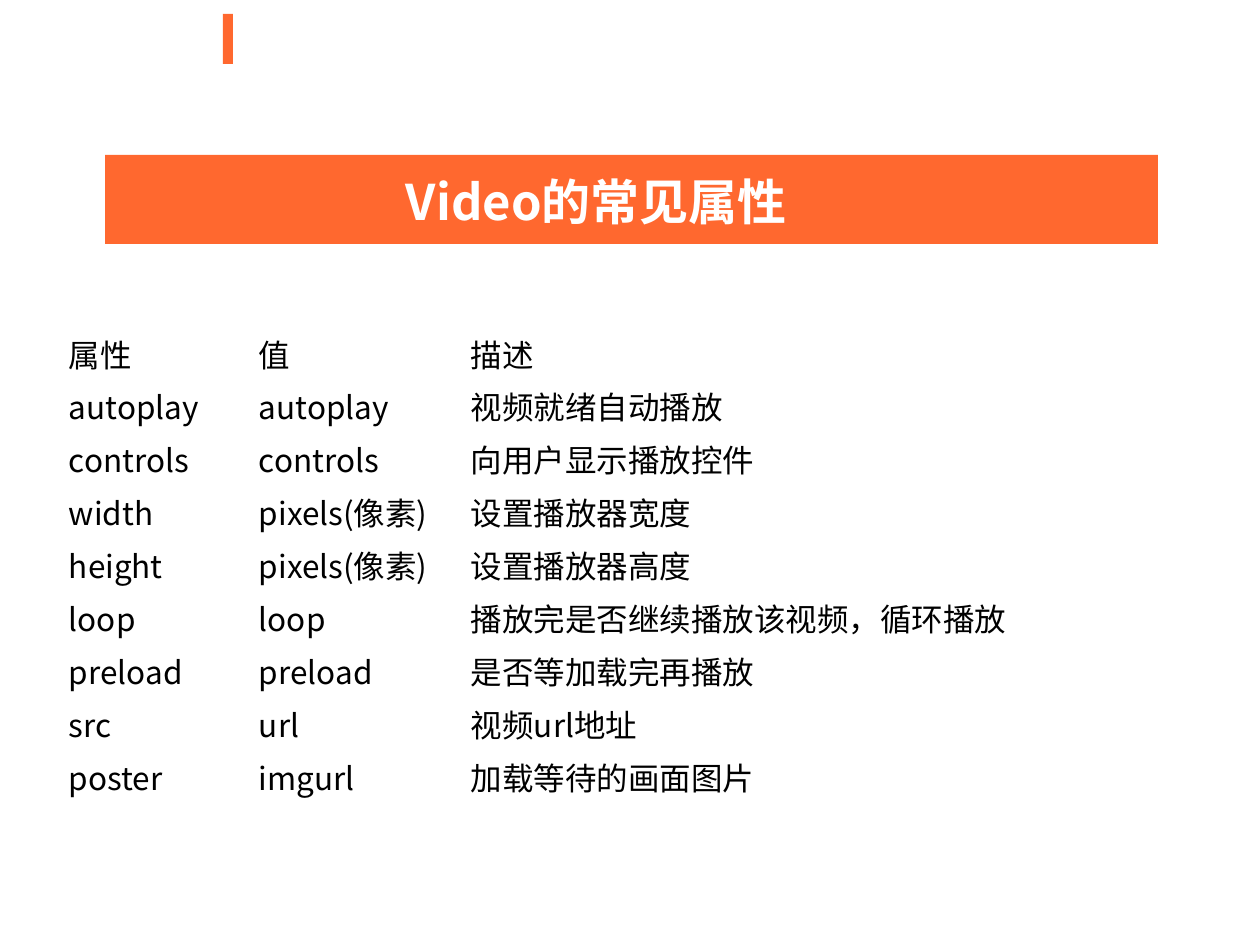
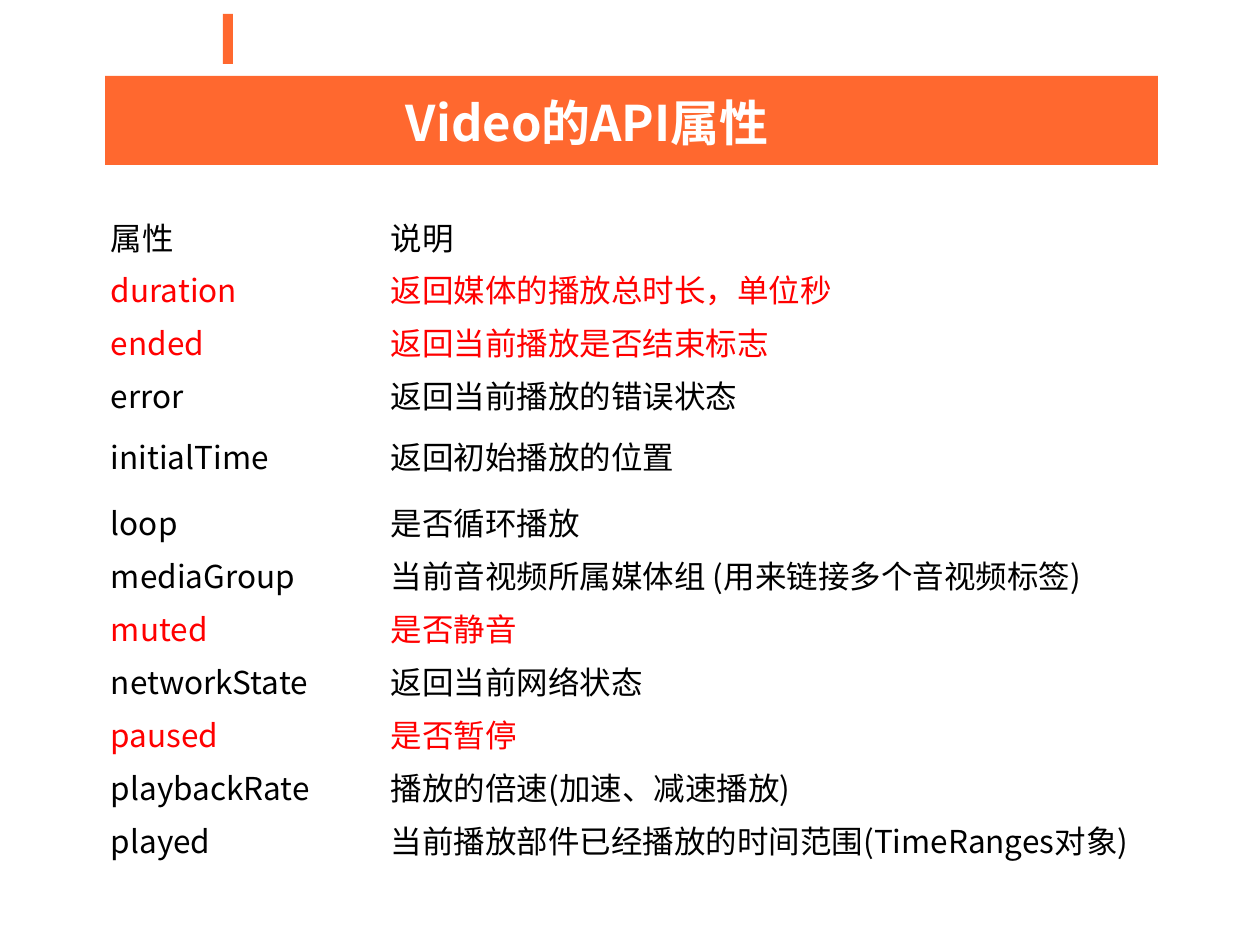
from pptx import Presentation
from pptx.dml.color import RGBColor
from pptx.enum.shapes import MSO_SHAPE as Shape
from pptx.enum.text import MSO_ANCHOR as Anchor, MSO_AUTO_SIZE as AutoSize
from pptx.oxml.ns import qn
from pptx.util import Emu, Pt
from lxml.etree import SubElement

PIXEL = 914400 / 126
FONT = "Noto Sans CJK SC"
ORANGE, WHITE, BLACK, RED = "FF682F", "FFFFFF", "000000", "FF0000"
INSET = 6
HEADER_HEIGHT, ROW_HEIGHT = 52, 53

COMMON_ROWS = [
    ("属性", "值", "描述"),
    ("autoplay", "autoplay", "视频就绪自动播放"),
    ("controls", "controls", "向用户显示播放控件"),
    ("width", "pixels(像素)", "设置播放器宽度"),
    ("height", "pixels(像素)", "设置播放器高度"),
    ("loop", "loop", "播放完是否继续播放该视频，循环播放"),
    ("preload", "preload", "是否等加载完再播放"),
    ("src", "url", "视频url地址"),
    ("poster", "imgurl", "加载等待的画面图片"),
    ("", "", ""),
]
API_ROWS = [
    ("属性", "说明"),
    ("duration", "返回媒体的播放总时长，单位秒"),
    ("ended", "返回当前播放是否结束标志"),
    ("error", "返回当前播放的错误状态"),
    ("initialTime", "返回初始播放的位置"),
    ("loop", "是否循环播放"),
    ("mediaGroup", "当前音视频所属媒体组\u00a0(用来链接多个音视频标签)"),
    ("muted", "是否静音"),
    ("networkState", "返回当前网络状态"),
    ("paused", "是否暂停"),
    ("playbackRate", "播放的倍速(加速、减速播放)"),
    ("played", "当前播放部件已经播放的时间范围(TimeRanges对象)"),
]
KEY_ATTRIBUTES = {"duration", "ended", "muted", "paused"}


def px(*lengths):
    """Turn pixel lengths into EMU."""
    return [Emu(round(length * PIXEL)) for length in lengths]


def color(code):
    """Turn a hex string into a colour."""
    return RGBColor.from_string(code)


def set_insets(holder):
    """Give a text frame or cell the same inset on all sides."""
    inset, = px(INSET)
    holder.margin_left = holder.margin_right = inset
    holder.margin_top = holder.margin_bottom = inset


def write(frame, text, size=18, ink=BLACK, bold=False):
    """Write one formatted paragraph into a text frame."""
    span = frame.paragraphs[0].add_run()
    span.text = text
    span.font.size = Pt(size)
    span.font.bold = bold
    span.font.color.rgb = color(ink)
    span.font.name = FONT
    SubElement(span.font._element, qn("a:ea"), typeface=FONT)


def add_bar(shapes, left, top, width, height):
    """Add a plain orange rectangle."""
    bar = shapes.add_shape(Shape.RECTANGLE, *px(left, top, width, height))
    bar.shadow.inherit = False
    bar.fill.solid()
    bar.fill.fore_color.rgb = color(ORANGE)
    bar.line.fill.background()


def add_title(page, text, left, top, width, height):
    """Group an orange band with its white title."""
    group = page.shapes.add_group_shape()
    add_bar(group.shapes, left, top, width, height)
    box = group.shapes.add_textbox(*px(left + 295, top + 10, 576, 83))
    frame = box.text_frame
    frame.word_wrap = True
    frame.auto_size = AutoSize.SHAPE_TO_FIT_TEXT
    set_insets(frame)
    write(frame, text, size=28, ink=WHITE, bold=True)


def add_grid(page, rows, left, top, widths, tall_rows, body_anchor):
    """Add an unfilled table, with tall_rows mapping row index to height."""
    heights = [HEADER_HEIGHT] + [ROW_HEIGHT] * (len(rows) - 1)
    for index, height in tall_rows.items():
        heights[index] = height
    place = px(left, top, sum(widths), sum(heights))
    table = page.shapes.add_table(len(rows), len(widths), *place).table
    table.first_row = table.horz_banding = False
    for column, width in zip(table.columns, px(*widths)):
        column.width = width
    for index, (row, height) in enumerate(zip(table.rows, px(*heights))):
        row.height = height
        ink = RED if rows[index][0] in KEY_ATTRIBUTES else BLACK
        for cell, text in zip(row.cells, rows[index]):
            cell.fill.background()
            cell.vertical_anchor = body_anchor if index else Anchor.TOP
            set_insets(cell)
            if text:
                write(cell.text_frame, text, ink=ink)


def add_page(deck, title, title_top, rows, **grid):
    """Add a slide with the accent bar, a title band and a table."""
    page = deck.slides.add_slide(deck.slide_layouts[6])
    add_bar(page.shapes, 223, 14, 10, 50)
    add_title(page, title, 105, title_top, 1053, 89)
    add_grid(page, rows, **grid)


deck = Presentation()
deck.slide_width, deck.slide_height = px(1260, 945)
add_page(deck, "Video的常见属性", 155, COMMON_ROWS, left=63, top=325,
         widths=[190, 212, 732], tall_rows={9: 88}, body_anchor=Anchor.TOP)
add_page(deck, "Video的API属性", 76, API_ROWS, left=105, top=208,
         widths=[280, 772], tall_rows={4: 74}, body_anchor=Anchor.MIDDLE)
deck.save("out.pptx")
